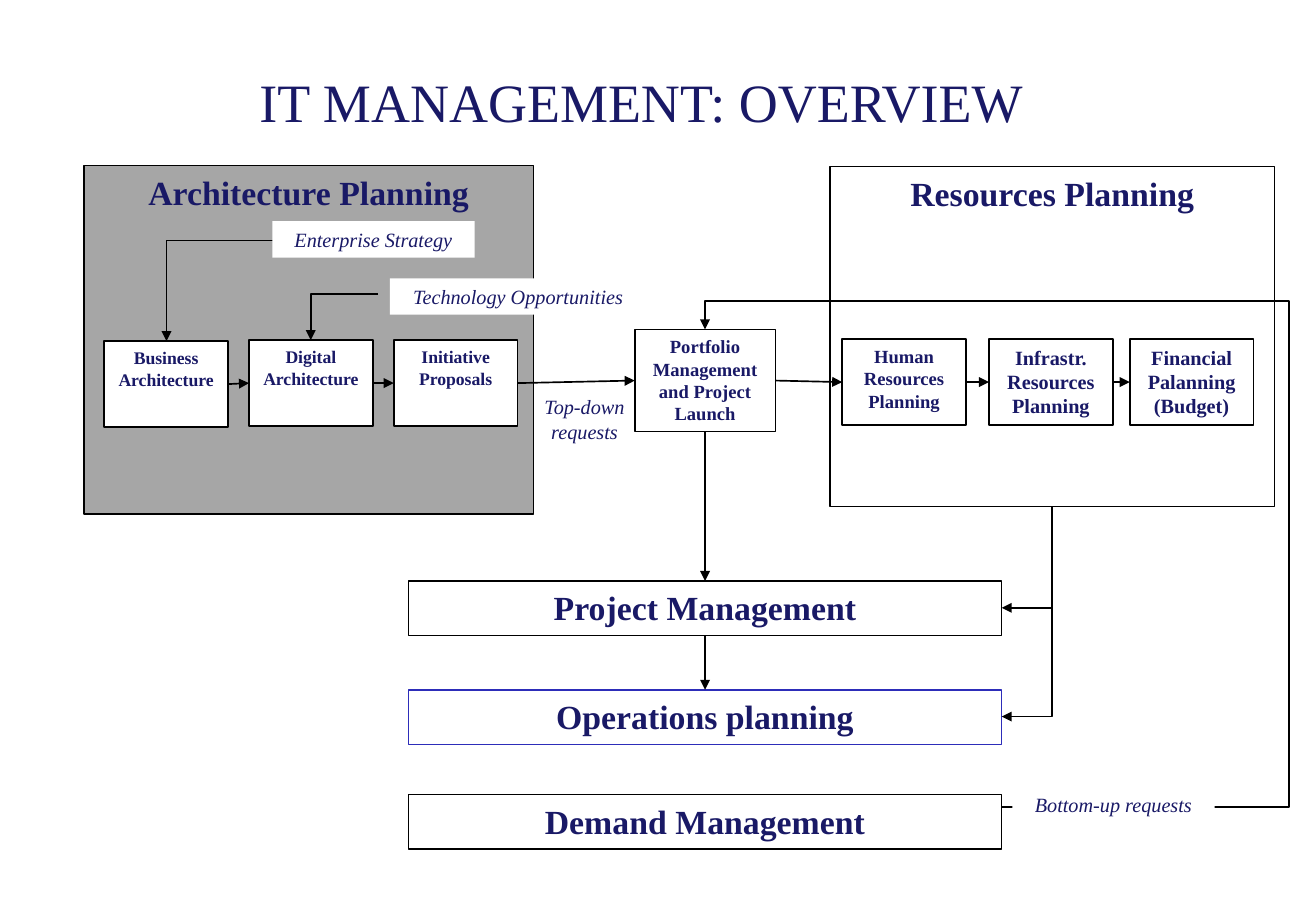
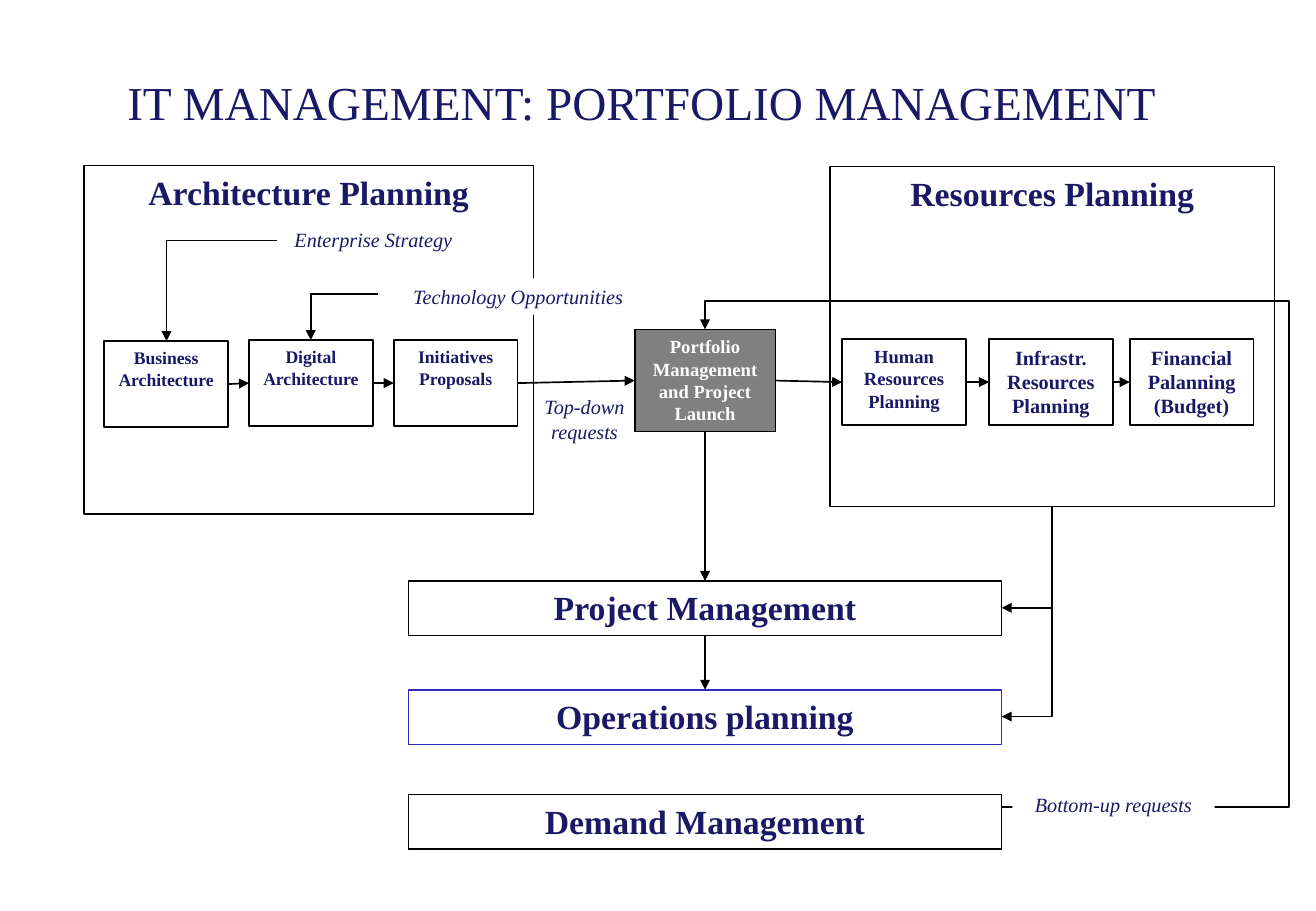
from dataclasses import dataclass

from lxml.etree import SubElement
from pptx import Presentation
from pptx.dml.color import RGBColor
from pptx.enum.shapes import MSO_CONNECTOR, MSO_SHAPE
from pptx.enum.text import MSO_ANCHOR, MSO_AUTO_SIZE, PP_ALIGN
from pptx.oxml.ns import qn
from pptx.util import Inches, Pt

COLUMNS, ROWS = 130, 90
TOP, LEFT, BOTTOM, RIGHT = range(4)


@dataclass(frozen=True)
class Theme:
    font: str = "Times New Roman"
    ink: str = "191966"
    line: str = "000000"
    accent: str = "2D2DB9"
    paper: str = "FFFFFF"
    panel_focus: str = "A6A6A6"
    step_focus: str = "808080"
    line_width: float = 1
    heading: float = 20
    label: float = 12
    step: float = 11
    small_step: float = 10.5


def set_all(target, values):
    for name, value in values.items():
        setattr(target, name, value)


class Diagram:
    def __init__(self, deck, theme):
        self.deck = deck
        self.theme = theme
        self.page = None
        self.unit_x = deck.slide_width / COLUMNS
        self.unit_y = deck.slide_height / ROWS

    def new_page(self):
        self.page = self.deck.slides.add_slide(self.deck.slide_layouts[6])

    def place(self, *lengths):
        units = (self.unit_x, self.unit_y) * 2
        return [round(length * unit) for length, unit in zip(lengths, units)]

    def add_text(self, box, text, size, color=None, anchor=MSO_ANCHOR.TOP, **style):
        set_all(box.text_frame, {"word_wrap": True, "vertical_anchor": anchor})
        para = box.text_frame.paragraphs[0]
        para.alignment = PP_ALIGN.CENTER
        span = para.add_run()
        span.text = text
        set_all(span.font, {"name": self.theme.font, "size": Pt(size), **style})
        span.font.color.rgb = RGBColor.from_string(color or self.theme.ink)

    def title(self, text, size):
        box = self.page.shapes.add_textbox(*self.place(9.7, 4, 107.3, 12))
        self.add_text(box, text, size, anchor=MSO_ANCHOR.MIDDLE)

    def rectangle(self, at, fill, line):
        box = self.page.shapes.add_shape(MSO_SHAPE.RECTANGLE, *self.place(*at))
        box.shadow.inherit = False
        if fill:
            box.fill.solid()
            box.fill.fore_color.rgb = RGBColor.from_string(fill)
        else:
            box.fill.background()
        if line:
            box.line.color.rgb = RGBColor.from_string(line)
            box.line.width = Pt(self.theme.line_width)
        else:
            box.line.fill.background()
        return box

    def box(self, at, text, size, fill=None, line=None, color=None):
        box = self.rectangle(at, fill, line or self.theme.line)
        self.add_text(box, text, size, color, bold=True)
        return box

    def label(self, at, text, fill=None):
        box = self.rectangle(at, fill, None)
        self.add_text(box, text, self.theme.label, italic=True)
        box.text_frame.auto_size = MSO_AUTO_SIZE.SHAPE_TO_FIT_TEXT

    def connector(self, kind, start, end, arrow_end="a:tailEnd"):
        link = self.page.shapes.add_connector(kind, *self.place(*start, *end))
        link.line.color.rgb = RGBColor.from_string(self.theme.line)
        link.line.width = Pt(self.theme.line_width)
        properties = link.element.spPr
        SubElement(properties.find(qn("a:ln")), qn(arrow_end), type="triangle")
        SubElement(properties, qn("a:effectLst"))
        return link

    def arrow(self, source, target, sides=(RIGHT, LEFT)):
        link = self.connector(MSO_CONNECTOR.STRAIGHT, (0, 0), (0, 0))
        link.begin_connect(source, sides[0])
        link.end_connect(target, sides[1])

    def elbow(self, start, end, preset="bentConnector2", bends=(), **options):
        link = self.connector(MSO_CONNECTOR.ELBOW, start, end, **options)
        geometry = link.element.spPr.find(qn("a:prstGeom"))
        geometry.set("prst", preset)
        guides = geometry.find(qn("a:avLst"))
        for number, share in enumerate(bends, 1):
            formula = f"val {round(share * 100000)}"
            SubElement(guides, qn("a:gd"), name=f"adj{number}", fmla=formula)


def draw_management(diagram, title, title_size, proposals, panel_fill=None,
                    strategy_fill=None, portfolio_fill=None, portfolio_ink=None):
    theme = diagram.theme
    paper = theme.paper
    diagram.new_page()
    diagram.box((8.3, 16.35, 44.4, 34.45), "Architecture Planning", theme.heading, panel_fill)
    diagram.title(title, title_size)
    diagram.box((82, 16.45, 43.9, 33.6), "Resources Planning", theme.heading)

    portfolio = diagram.box(
        (62.7, 32.55, 13.9, 10.1), "Portfolio Management and Project Launch",
        theme.step, portfolio_fill or paper, color=portfolio_ink)
    steps = [
        diagram.box((left, top, 12.24, 8.5), text, size, paper)
        for left, top, text, size in (
            (10.3, 33.7, "Business Architecture", theme.small_step),
            (24.6, 33.6, "Digital Architecture", theme.small_step),
            (38.9, 33.6, proposals, theme.small_step),
            (83.2, 33.5, "Human Resources Planning", theme.step),
            (97.7, 33.5, "Infrastr. Resources Planning", theme.label),
            (111.6, 33.5, "Financial Palanning (Budget)", theme.label),
        )
    ]
    chain = steps[:3] + [portfolio] + steps[3:]
    for source, target in zip(chain, chain[1:]):
        diagram.arrow(source, target)

    project, operations, demand = [
        diagram.box((40.35, top, 58.6, 5.4), text, theme.heading, paper, line)
        for top, text, line in (
            (57.4, "Project Management", theme.line),
            (68.15, "Operations planning", theme.accent),
            (78.5, "Demand Management", theme.line),
        )
    ]
    for source, target in ((portfolio, project), (project, operations)):
        diagram.arrow(source, target, (BOTTOM, TOP))

    diagram.elbow((98.95, 79.75), (69.65, 32.55), "bentConnector4", (-0.97, 1.06))
    diagram.elbow((27.4, 23.75), (16.45, 33.7))
    diagram.elbow((37.35, 29.05), (30.7, 33.6))
    for tip_row in (60.05, 70.8):
        diagram.elbow((98.95, tip_row), (103.95, 50.05), arrow_end="a:headEnd")

    for at, text, fill in (
        ((51.2, 38.4, 13.1, 6), "Top-down requests", None),
        ((26.9, 21.85, 20, 3.6), "Enterprise Strategy", strategy_fill),
        ((38.5, 27.5, 25.4, 3.6), "Technology Opportunities", paper),
        ((100, 77.65, 20, 3.6), "Bottom-up requests", paper),
    ):
        diagram.label(at, text, fill)


def main():
    deck = Presentation()
    set_all(deck, {"slide_width": Inches(10.83), "slide_height": Inches(7.5)})
    theme = Theme()
    diagram = Diagram(deck, theme)
    draw_management(diagram, "IT MANAGEMENT: OVERVIEW", 32, "Initiative Proposals",
                    panel_fill=theme.panel_focus, strategy_fill=theme.paper)
    draw_management(diagram, "IT MANAGEMENT: PORTFOLIO MANAGEMENT", 28,
                    "Initiatives Proposals", portfolio_fill=theme.step_focus,
                    portfolio_ink=theme.paper)
    deck.save("out.pptx")


if __name__ == "__main__":
    main()
